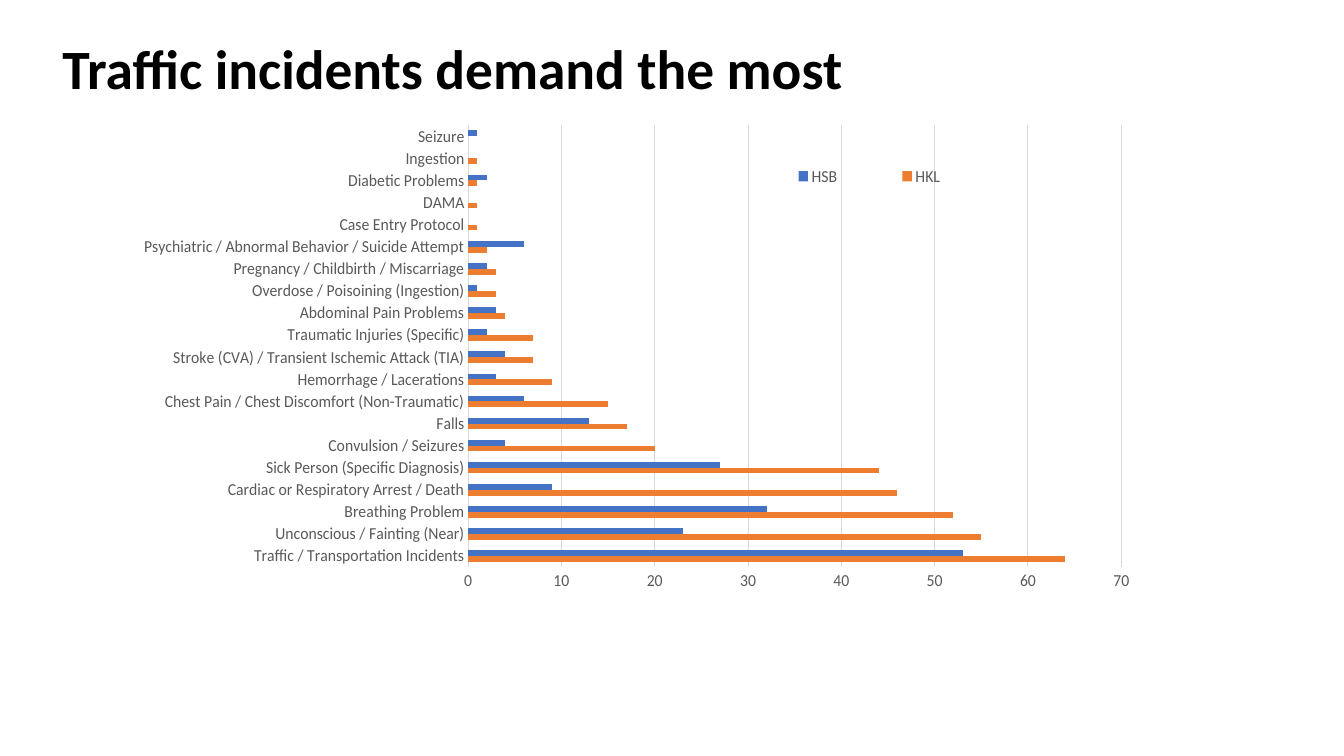
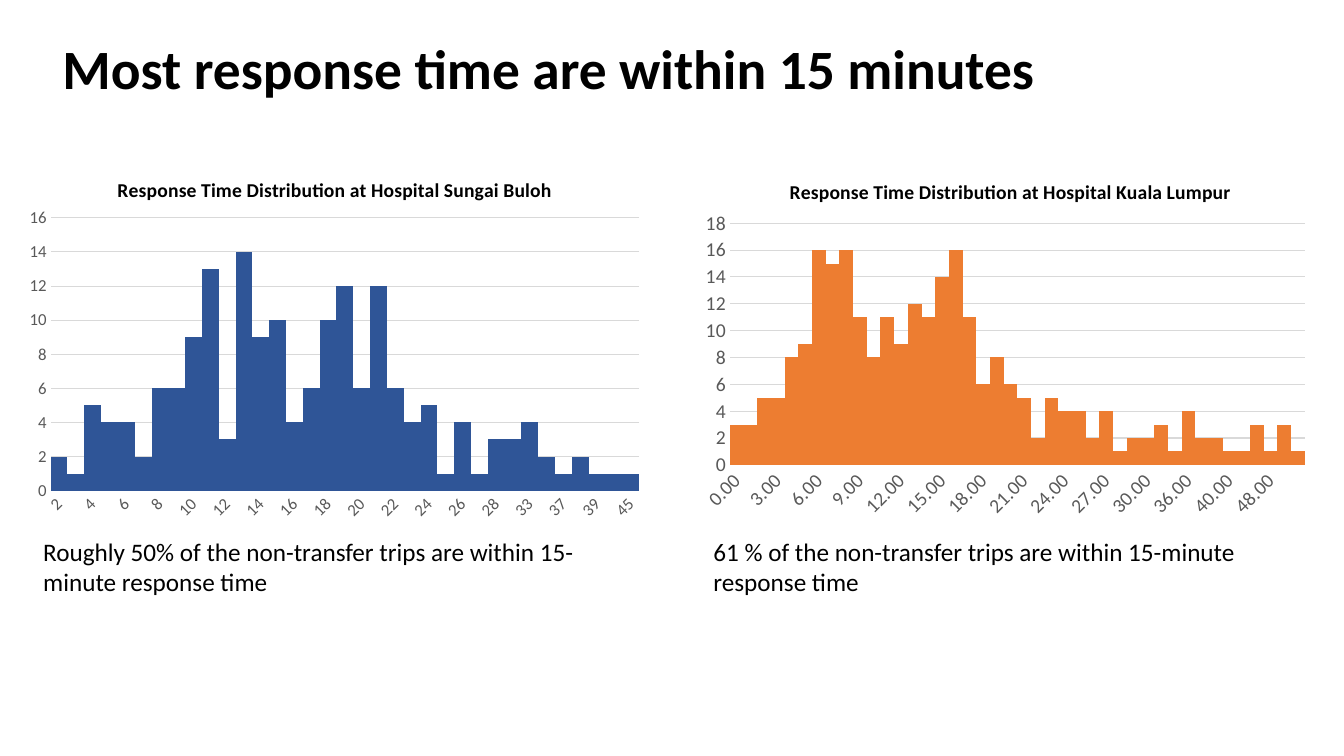
from pptx import Presentation, util as u
from pptx.chart import data as cd
from pptx.dml import color
from pptx.enum import chart as ch, text
from pptx.oxml import parse_xml
from pptx.oxml import ns

FONT = "Calibri"
COLORS = {
    "text": "000000",
    "label": "595959",
    "grid": "D9D9D9",
    "HKL": "ED7D31",
    "HSB": "4472C4",
    "hsb_histogram": "2F5597",
}

# Incident type, calls at HKL, calls at HSB
INCIDENTS = [
    ("Traffic / Transportation Incidents", 64, 53),
    ("Unconscious / Fainting (Near)", 55, 23),
    ("Breathing Problem", 52, 32),
    ("Cardiac or Respiratory Arrest / Death", 46, 9),
    ("Sick Person (Specific Diagnosis)", 44, 27),
    ("Convulsion / Seizures", 20, 4),
    ("Falls", 17, 13),
    ("Chest Pain / Chest Discomfort (Non-Traumatic)", 15, 6),
    ("Hemorrhage / Lacerations", 9, 3),
    ("Stroke (CVA) / Transient Ischemic Attack (TIA)", 7, 4),
    ("Traumatic Injuries (Specific)", 7, 2),
    ("Abdominal Pain Problems", 4, 3),
    ("Overdose / Poisoining (Ingestion)", 3, 1),
    ("Pregnancy / Childbirth / Miscarriage", 3, 2),
    ("Psychiatric / Abnormal Behavior / Suicide Attempt", 2, 6),
    ("Case Entry Protocol", 1, None),
    ("DAMA", 1, None),
    ("Diabetic Problems", 1, 2),
    ("Ingestion", 1, None),
    ("Seizure", None, 1),
]

# Response minutes and number of trips
HSB_MINUTES = [*range(2, 29), 32, 33, 35, 37, 38, 39, 43, 45]
HSB_TRIPS = [2, 1, 5, 4, 4, 2, 6, 6, 9, 13, 3, 14, 9, 10, 4, 6, 10, 12, 6, 12,
             6, 4, 5, 1, 4, 1, 3, 3, 4, 2, 1, 2, 1, 1, 1]
HKL_MINUTES = [*range(32), 34, 36, 37, 39, 40, 43, 46, 48, 49, 51]
HKL_TRIPS = [3, 3, 5, 5, 8, 9, 16, 15, 16, 11, 8, 11, 9, 12, 11, 14, 16, 11, 6, 8, 6,
             5, 2, 5, 4, 4, 2, 4, 1, 2, 2, 3, 1, 4, 2, 2, 1, 1, 3, 1, 3, 1]


def rgb(name):
    return color.RGBColor.from_string(COLORS[name])


def style_font(font, size, color_name, bold=False):
    font.name = FONT
    font.size = u.Pt(size)
    font.bold = bold
    font.color.rgb = rgb(color_name)


def add_titled_slide(prs, heading):
    slide = prs.slides.add_slide(prs.slide_layouts[5])
    title = slide.shapes.title
    title.left, title.top = u.Cm(1.32), u.Cm(1.02)
    title.width, title.height = u.Cm(30.23), u.Cm(1.55)
    frame = title.text_frame
    frame.auto_size = text.MSO_AUTO_SIZE.NONE
    frame.vertical_anchor = text.MSO_ANCHOR.MIDDLE
    line = frame.paragraphs[0]
    line.alignment = text.PP_ALIGN.LEFT
    line.line_spacing = 0.9
    run = line.add_run()
    run.text = heading
    style_font(run.font, 39.6, "text", bold=True)
    return slide


def add_caption(slide, left, words):
    caption = slide.shapes.add_textbox(u.Cm(left), u.Cm(13.39), u.Cm(15.19), u.Cm(1.8))
    frame = caption.text_frame
    frame.word_wrap = True
    run = frame.paragraphs[0].add_run()
    run.text = words
    style_font(run.font, 18, "text")


def place_part(chart, tag, **fractions):
    """Place the plot area, title or legend by fractions of the chart."""
    part = chart.element.find(".//" + ns.qn(tag))
    old = part.find(ns.qn("c:layout"))
    if old is not None:
        part.remove(old)
    target = '<c:layoutTarget val="inner"/>' if tag == "c:plotArea" else ""
    modes = "".join(f'<c:{k}Mode val="edge"/>' for k in "xy")
    sizes = "".join(f'<c:{k} val="{v}"/>' for k, v in fractions.items())
    layout = parse_xml(
        f'<c:layout {ns.nsdecls("c")}><c:manualLayout>{target}{modes}{sizes}'
        "</c:manualLayout></c:layout>")
    overlay = part.find(ns.qn("c:overlay"))
    if overlay is None:
        part.insert(0, layout)
    else:
        overlay.addprevious(layout)


def style_axes(chart, size, top, step):
    for axis in (chart.category_axis, chart.value_axis):
        axis.major_tick_mark = axis.minor_tick_mark = ch.XL_TICK_MARK.NONE
        style_font(axis.tick_labels.font, size, "label")
    values = chart.value_axis
    values.minimum_scale, values.maximum_scale, values.major_unit = 0, top, step
    values.format.line.fill.background()
    values.has_major_gridlines = True
    for line in (values.major_gridlines.format.line, chart.category_axis.format.line):
        line.color.rgb = rgb("grid")
        line.width = u.Pt(0.75)


def add_bars(slide, kind, box, categories, series, size, top, step, gap):
    """series holds (name, values, colour name) for each set of bars."""
    table = cd.CategoryChartData()
    table.categories = categories
    for name, values, _ in series:
        table.add_series(name, values)
    chart = slide.shapes.add_chart(kind, *map(u.Cm, box), table).chart
    chart.has_title = chart.has_legend = False
    style_font(chart.font, size, "text")
    style_axes(chart, size, top, step)
    plot = chart.plots[0]
    plot.gap_width, plot.overlap, plot.vary_by_categories = gap, 0, False
    for bars, (_, _, color_name) in zip(plot.series, series):
        bars.format.fill.solid()
        bars.format.fill.fore_color.rgb = rgb(color_name)
        bars.invert_if_negative = False
    return chart


def slant_labels(axis, skip):
    """Turn the labels by 45 degrees and show only every skip-th one."""
    element = axis.tick_labels.font and chart_axis_element(axis)
    element.find(ns.qn("c:txPr")).find(ns.qn("a:bodyPr")).set("rot", "-2700000")
    element.find(ns.qn("c:noMultiLvlLbl")).addprevious(
        parse_xml(f'<c:tickLblSkip {ns.nsdecls("c")} val="{skip}"/>'))


def chart_axis_element(axis):
    return axis.format.element if hasattr(axis.format, "element") else axis._element


def add_histogram(slide, hospital, box, minutes, trips, color_name, size, top, skip, plot):
    chart = add_bars(slide, ch.XL_CHART_TYPE.COLUMN_CLUSTERED, box, minutes,
                     [("Series 1", trips, color_name)], size, top, 2, 0)
    slant_labels(chart.category_axis, skip)
    chart.has_title = True
    run = chart.chart_title.text_frame.paragraphs[0].add_run()
    run.text = f"Response Time Distribution at Hospital {hospital}"
    style_font(run.font, 14, "text", bold=True)
    place_part(chart, "c:title", x=0.15, y=0.05)
    place_part(chart, "c:plotArea", **plot)


def build_incidents(prs):
    slide = add_titled_slide(prs, "Traffic incidents demand the most")
    names, hkl, hsb = zip(*INCIDENTS)
    chart = add_bars(slide, ch.XL_CHART_TYPE.BAR_CLUSTERED, (3.63, 2.79, 25.1, 12.24),
                     names, [("HKL", hkl, "HKL"), ("HSB", hsb, "HSB")], 12, 70, 10, 182)
    place_part(chart, "c:plotArea", x=0.28, y=0.03, w=0.7, h=0.91)
    # Legend inside the plot
    chart.has_legend = True
    chart.legend.position = ch.XL_LEGEND_POSITION.TOP
    chart.legend.include_in_layout = False
    style_font(chart.legend.font, 12, "label")
    place_part(chart, "c:legend", x=0.57, y=0.1, w=0.28, h=0.07)


def build_response_times(prs):
    slide = add_titled_slide(prs, "Most response time are within 15 minutes")
    # Hospital Sungai Buloh
    add_histogram(slide, "Sungai Buloh", (0.48, 3.89, 15.95, 9.42),
                  [str(m) for m in HSB_MINUTES], HSB_TRIPS, "hsb_histogram", 12, 16, 2,
                  dict(x=0.05, y=0.17, w=0.93, h=0.73))
    add_caption(slide, 0.84, "Roughly 50% of the non-transfer trips are within "
                             "15-minute response time")
    # Hospital Kuala Lumpur
    add_histogram(slide, "Kuala Lumpur", (17.45, 3.94, 15.75, 9.37),
                  [f"{m}.00" for m in HKL_MINUTES], HKL_TRIPS, "HKL", 14, 18, 3,
                  dict(x=0.06, y=0.18, w=0.92, h=0.65))
    add_caption(slide, 17.73, "61 % of the non-transfer trips are within "
                              "15-minute response time")


def main():
    prs = Presentation()
    prs.slide_width, prs.slide_height = u.Cm(33.87), u.Cm(19.05)
    build_incidents(prs)
    build_response_times(prs)
    prs.save("out.pptx")


if __name__ == "__main__":
    main()
